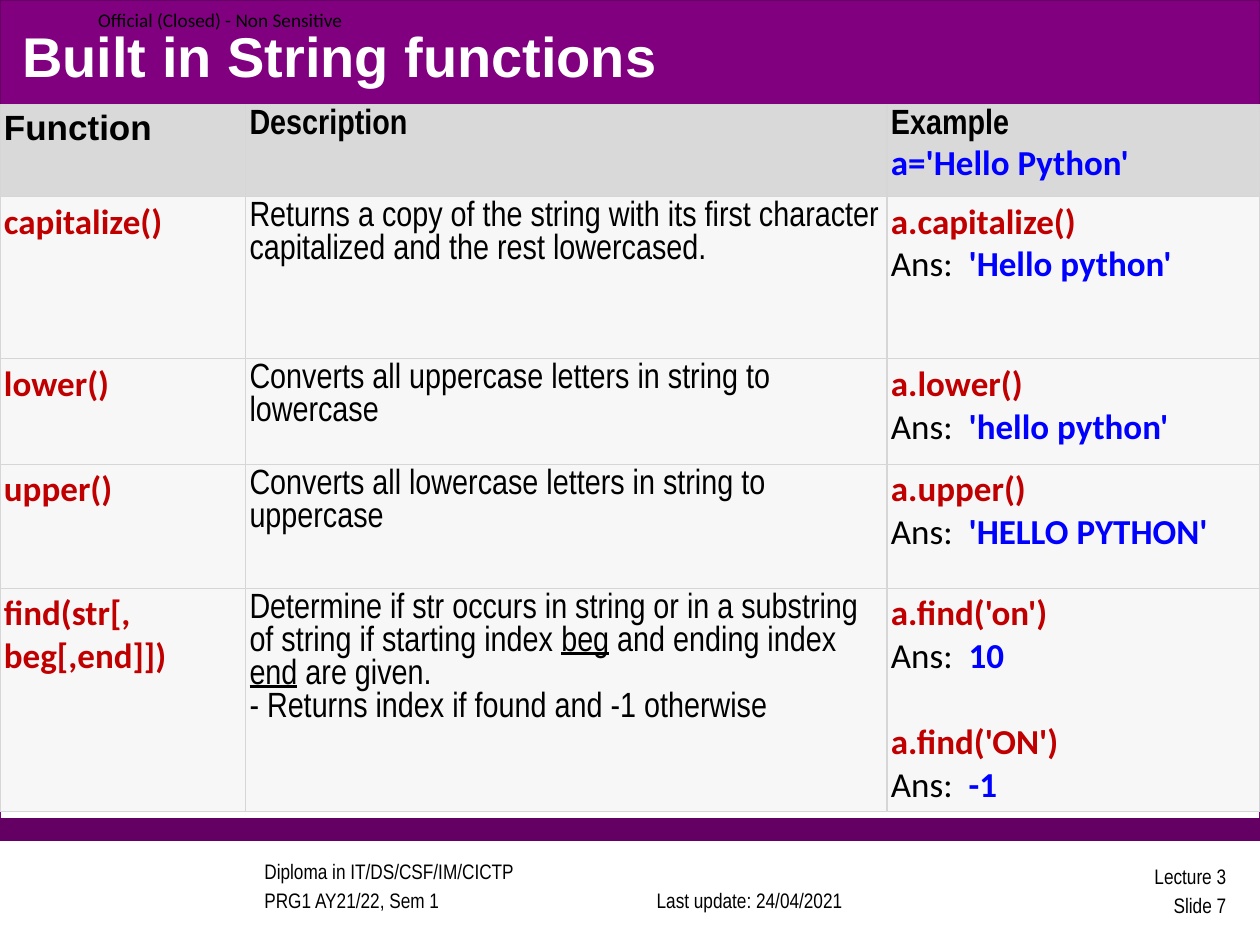
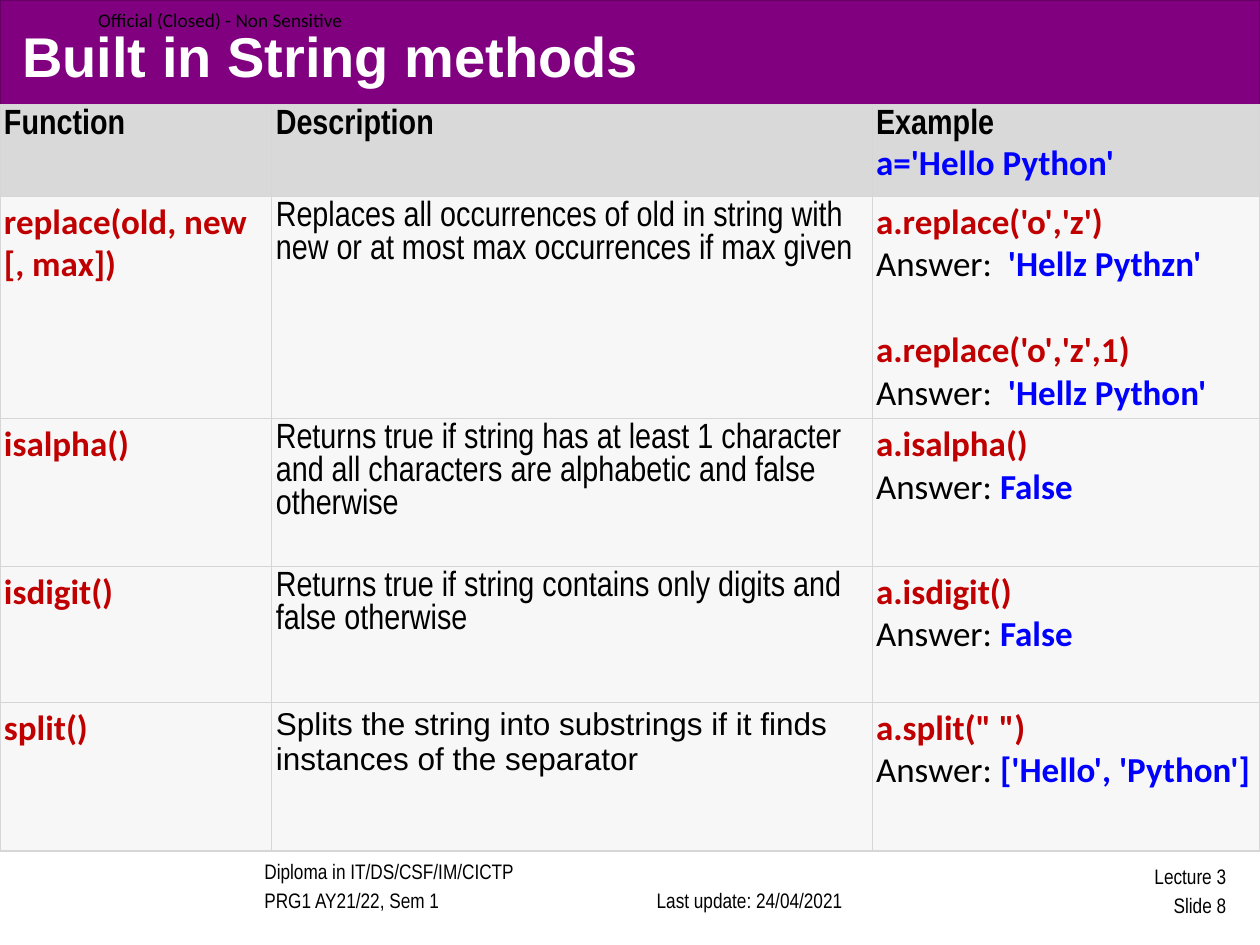
"""Build two slides of Python string method tables."""
from lxml import etree
from pptx import Presentation
from pptx.dml.color import RGBColor
from pptx.enum.shapes import MSO_SHAPE
from pptx.enum.text import MSO_ANCHOR, PP_ALIGN
from pptx.oxml.ns import qn
from pptx.util import Cm, Pt

RECT = MSO_SHAPE.RECTANGLE
TOP, MIDDLE, BOTTOM = MSO_ANCHOR.TOP, MSO_ANCHOR.MIDDLE, MSO_ANCHOR.BOTTOM
LEFT, CENTER, RIGHT = PP_ALIGN.LEFT, PP_ALIGN.CENTER, PP_ALIGN.RIGHT

WHITE = RGBColor(0xFF, 0xFF, 0xFF)
BLACK = RGBColor(0x00, 0x00, 0x00)
PURPLE = RGBColor(0x80, 0x00, 0x80)
DARK_PURPLE = RGBColor(0x64, 0x00, 0x64)
RED = RGBColor(0xC0, 0x00, 0x00)
BLUE = RGBColor(0x00, 0x00, 0xFF)
HEADER_GREY = RGBColor(0xD9, 0xD9, 0xD9)
BODY_GREY = RGBColor(0xF7, 0xF7, 0xF7)
BORDER_GREY = RGBColor(0xD6, 0xD6, 0xD6)

TITLE = ("Arial", 32, WHITE, True, False)
MARKING = ("Calibri", 11, BLACK, False, False)
FOOTER = ("Arial Narrow", 12, BLACK, False, False)
HEAD = ("Arial Narrow", 20, BLACK, True, False)
HEAD_WIDE = ("Arial", 20, BLACK, True, False)
DESC = ("Arial Narrow", 20, BLACK, False, False)
DESC_WIDE = ("Arial", 18, BLACK, False, False)
PARAM = ("Arial Narrow", 20, BLACK, False, True)
CALL = ("Calibri", 20, RED, True, False)
LABEL = ("Calibri", 20, BLACK, False, False)
RESULT = ("Calibri", 20, BLUE, True, False)

MARGIN = Cm(0.08)
CALL_GAP = Pt(24.4)
FOOTER_GAP = Pt(2.5)

BANDS = [
    (0, 16.94, WHITE, PURPLE),
    (16.51, 0.43, DARK_PURPLE, DARK_PURPLE),
    (0, 2.11, PURPLE, DARK_PURPLE),
]

SLIDES = [
    {
        "title": "Built in String functions",
        "number": 7,
        "head": HEAD_WIDE,
        "label": "Ans:  ",
        "cols": [4.95, 12.93, 7.52],
        "rows": [1.85, 3.27, 2.13, 2.5, 4.5],
        "methods": [
            ("capitalize()",
             [[("Returns a copy of the string with its first character capitalized and the rest lowercased.", DESC)]],
             [("a.capitalize()", "'Hello python'")]),
            ("lower()",
             [[("Converts all uppercase letters in string to lowercase", DESC)]],
             [("a.lower()", "'hello python'")]),
            ("upper()",
             [[("Converts all lowercase letters in string to uppercase", DESC)]],
             [("a.upper()", "'HELLO PYTHON'")]),
            ("find(str[, beg[,end]])",
             [[("Determine if str occurs in string or in a substring of string if starting index ", DESC),
               ("beg", PARAM), (" and ending index ", DESC), ("end", PARAM), (" are given.", DESC)],
              [("- Returns index if found and -1 otherwise", DESC)]],
             [("a.find('on')", "10"), ("a.find('ON')", "-1")]),
        ],
    },
    {
        "title": "Built in String methods",
        "number": 8,
        "head": HEAD,
        "label": "Answer: ",
        "cols": [5.48, 12.1, 7.82],
        "rows": [1.71, 4.48, 2.98, 2.74, 2.99],
        "methods": [
            ("replace(old, new [, max])",
             [[("Replaces all occurrences of old in string with new or at most max occurrences if max given", DESC)]],
             [("a.replace('o','z')", " 'Hellz Pythzn'"), ("a.replace('o','z',1)", " 'Hellz Python'")]),
            ("isalpha()",
             [[("Returns true if string has at least 1 character and all characters are alphabetic and false otherwise", DESC)]],
             [("a.isalpha()", "False")]),
            ("isdigit()",
             [[("Returns true if string contains only digits and false otherwise", DESC)]],
             [("a.isdigit()", "False")]),
            ("split()",
             [[("Splits the string into substrings if it finds instances of the separator", DESC_WIDE)]],
             [('a.split(" ")', "['Hello', 'Python']")]),
        ],
    },
]


def add_text(tf, paragraphs, align=LEFT):
    for i, runs in enumerate(paragraphs):
        p = tf.add_paragraph() if i else tf.paragraphs[0]
        p.alignment = align
        for text, (name, size, color, bold, underline) in runs:
            r = p.add_run()
            r.text = text
            r.font.name = name
            r.font.size = Pt(size)
            r.font.color.rgb = color
            r.font.bold = bold
            r.font.underline = underline


def add_borders(cell):
    tcPr = cell._tc.get_or_add_tcPr()
    for i, side in enumerate(("a:lnL", "a:lnR", "a:lnT", "a:lnB")):
        ln = etree.Element(qn(side), w=str(Pt(0.75)))
        fill = etree.SubElement(ln, qn("a:solidFill"))
        etree.SubElement(fill, qn("a:srgbClr"), val=str(BORDER_GREY))
        tcPr.insert(i, ln)


prs = Presentation()
prs.slide_width = Cm(25.4)
prs.slide_height = Cm(19.05)

for content in SLIDES:
    s = prs.slides.add_slide(prs.slide_layouts[6])

    for top, height, color, outline in BANDS:
        sp = s.shapes.add_shape(RECT, 0, Cm(top), prs.slide_width, Cm(height))
        sp.shadow.inherit = False
        sp.fill.solid()
        sp.fill.fore_color.rgb = color
        sp.line.color.rgb = outline
        sp.line.width = Pt(0.75)

    boxes = [
        (5.08, 17.46, 6.78, 1.07, BOTTOM, LEFT, FOOTER,
         ["Diploma in IT/DS/CSF/IM/CICTP", "PRG1 AY21/22, Sem 1"]),
        (12.47, 17.46, 5.28, 1.07, BOTTOM, CENTER, FOOTER, ["Last update: 24/04/2021"]),
        (19.69, 17.42, 5.28, 1.07, MIDDLE, RIGHT, FOOTER,
         ["Lecture 3", f"Slide {content['number']}"]),
        (1.98, 0, 5.67, 0.79, MIDDLE, LEFT, MARKING, ["Official (Closed) - Non Sensitive"]),
        (0.2, 0.33, 24.97, 1.57, MIDDLE, LEFT, TITLE, [content["title"]]),
    ]
    for left, top, width, height, anchor, align, style, lines in boxes:
        sp = s.shapes.add_textbox(Cm(left), Cm(top), Cm(width), Cm(height))
        tf = sp.text_frame
        tf.word_wrap = True
        tf.vertical_anchor = anchor
        if style is MARKING:
            tf.margin_left = tf.margin_right = tf.margin_top = tf.margin_bottom = 0
        add_text(tf, [[(line, style)] for line in lines], align)
        for p in tf.paragraphs[1:]:
            p.space_before = FOOTER_GAP

    grid = [([[("Function", content["head"])]],
             [[("Description", HEAD)]],
             [[("Example", HEAD)], [("a='Hello Python'", RESULT)]])]
    for method, description, examples in content["methods"]:
        example = []
        for call, result in examples:
            example += [[(call, CALL)], [(content["label"], LABEL), (result, RESULT)]]
        grid.append(([[(method, CALL)]], description, example))

    cols, rows = content["cols"], content["rows"]
    table = s.shapes.add_table(len(rows), len(cols), 0, Cm(2.11),
                               Cm(sum(cols)), Cm(sum(rows))).table
    table.first_row = table.horz_banding = False
    for column, width in zip(table.columns, cols):
        column.width = Cm(width)
    for i, (row, height) in enumerate(zip(table.rows, rows)):
        row.height = Cm(height)
        for cell, paragraphs in zip(row.cells, grid[i]):
            cell.fill.solid()
            cell.fill.fore_color.rgb = BODY_GREY if i else HEADER_GREY
            cell.margin_left = cell.margin_right = MARGIN
            cell.margin_top = cell.margin_bottom = MARGIN
            cell.vertical_anchor = TOP
            add_borders(cell)
            add_text(cell.text_frame, paragraphs)
            for p in cell.text_frame.paragraphs[2::2]:
                p.space_before = CALL_GAP

prs.save("out.pptx")
